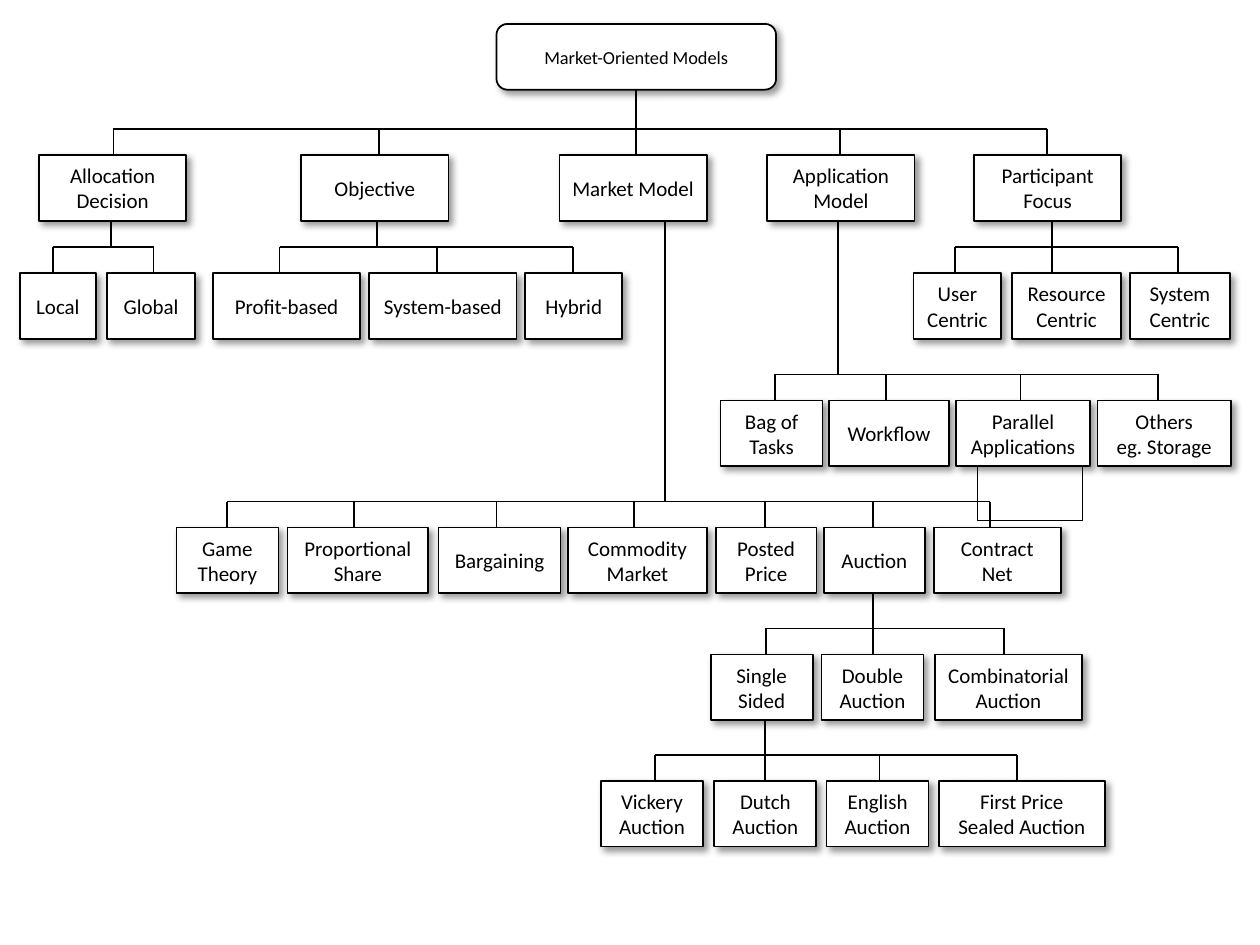
from lxml import etree
from pptx import Presentation
from pptx.dml.color import RGBColor
from pptx.enum.shapes import MSO_CONNECTOR as CONN, MSO_SHAPE as SHAPE
from pptx.enum.text import MSO_ANCHOR as ANCHOR, PP_ALIGN as ALIGN
from pptx.oxml.ns import qn
from pptx.util import Pt

COLORS = {"ink": "000000", "paper": "FFFFFF"}
ROOT = ("Market-Oriented Models", 283.7, 13.7, 159.8)
BACK_FRAME = (558.7, 249.1, 59.8, 48.2)
BOX_H, DROP = 37.6, 14.9

# parent: (top of child row, stem x, [(label, left, width, drop x)])
BRANCHES = {
    "Market-Oriented Models": (88.6, 363.6, [
        ("Allocation Decision", 22.3, 84.2, 64.8),
        ("Objective", 172.1, 84.2, 216.7),
        ("Market Model", 319.7, 84.2, 363.6),
        ("Application Model", 438.5, 84.2, 480.2),
        ("Participant Focus", 556.6, 84.2, 598.3)]),
    "Allocation Decision": (156.2, 63.4, [
        ("Local", 11.5, 43.2, 30.2),
        ("Global", 61.2, 50.4, 87.8)]),
    "Objective": (156.2, 215.3, [
        ("Profit-based", 121.7, 84.2, 159.8),
        ("System-based", 211, 84.2, 249.8),
        ("Hybrid", 300.2, 55.4, 327.6)]),
    "Participant Focus": (156.2, 601.2, [
        ("User Centric", 522, 50.2, 545.8),
        ("Resource Centric", 578.2, 62.6, 601.2),
        ("System Centric", 645.8, 56.9, 673.2)]),
    "Application Model": (228.9, 478.8, [
        ("Bag of Tasks", 411.8, 58.3, 442.8),
        ("Workflow", 473.8, 68.4, 506.2),
        ("Parallel Applications", 546.5, 76.3, 583.2),
        ("Others\veg. Storage", 627.1, 76.3, 661.7)]),
    "Market Model": (301.5, 380.2, [
        ("Game Theory", 100.8, 58.3, 129.6),
        ("Proportional Share", 164.2, 80.6, 202.3),
        ("Bargaining", 250.6, 69.8, 283.7),
        ("Commodity Market", 324.7, 79.2, 362.2),
        ("Posted Price", 409, 57.6, 437),
        ("Auction", 470.9, 57.6, 499),
        ("Contract Net", 533.5, 72.7, 565.9)]),
    "Auction": (374, 499, [
        ("Single Sided", 406.1, 58.3, 437.8),
        ("Double Auction", 469.4, 58.3, 499),
        ("Combinatorial Auction", 534.2, 84.2, 573.8)]),
    "Single Sided": (446.2, 437, [
        ("Vickery Auction", 343.4, 58.3, 374.4),
        ("Dutch Auction", 408.2, 58.3, 437),
        ("English Auction", 472.3, 58.3, 502.6),
        ("First Price Sealed Auction", 536.4, 95, 581)]),
}


def rgb(name):
    return RGBColor.from_string(COLORS[name])


def add_frame(left, top, width, height, kind=SHAPE.RECTANGLE, weight=1):
    s = group.shapes.add_shape(kind, Pt(left), Pt(top), Pt(width), Pt(height))
    s.shadow.inherit = False
    s.fill.solid()
    s.fill.fore_color.rgb = rgb("paper")
    s.line.color.rgb = rgb("ink")
    s.line.width = Pt(weight)
    return s


def add_shadow(s):
    effects = s._element.spPr.find(qn("a:effectLst"))
    shadow = etree.SubElement(effects, qn("a:outerShdw"), blurRad=str(Pt(4)),
                              dist=str(Pt(3)), dir="2700000", algn="tl",
                              rotWithShape="0")
    color = etree.SubElement(shadow, qn("a:srgbClr"), val=COLORS["ink"])
    etree.SubElement(color, qn("a:alpha"), val="40000")


def add_box(label, left, top, width, size=12, kind=SHAPE.RECTANGLE):
    s = add_frame(left, top, width, BOX_H, kind)
    add_shadow(s)
    tf = s.text_frame
    frame_format = {"word_wrap": True, "vertical_anchor": ANCHOR.MIDDLE,
                    "margin_left": Pt(7), "margin_right": Pt(7),
                    "margin_top": Pt(3.6), "margin_bottom": Pt(3.6)}
    for name, value in frame_format.items():
        setattr(tf, name, value)
    tf.text = label
    p = tf.paragraphs[0]
    p.alignment = ALIGN.CENTER
    for r in p.runs:
        for name, value in {"name": "Calibri", "size": Pt(size)}.items():
            setattr(r.font, name, value)
        r.font.color.rgb = rgb("ink")
    bottoms[label] = top + BOX_H


def add_line(x1, y1, x2, y2):
    c = group.shapes.add_connector(CONN.STRAIGHT, Pt(x1), Pt(y1), Pt(x2), Pt(y2))
    c.line.color.rgb = rgb("ink")
    c.line.width = Pt(1)
    etree.SubElement(c._element.spPr, qn("a:effectLst"))


prs = Presentation()
prs.slide_width, prs.slide_height = Pt(720), Pt(540)
slide = prs.slides.add_slide(prs.slide_layouts[6])
group = slide.shapes.add_group_shape()
bottoms = {}

# Boxes of the tree
add_frame(*BACK_FRAME, weight=0.75)
add_box(*ROOT, size=10.5, kind=SHAPE.ROUNDED_RECTANGLE)
for top, _, children in BRANCHES.values():
    for label, left, width, _ in children:
        add_box(label, left, top, width)

# Stem, crossbar and drops of each branch
for parent, (top, stem, children) in BRANCHES.items():
    bar = top - DROP
    drops = [child[-1] for child in children]
    add_line(stem, bottoms[parent], stem, bar)
    add_line(min(drops), bar, max(drops), bar)
    for x in drops:
        add_line(x, bar, x, top)

prs.save("out.pptx")
